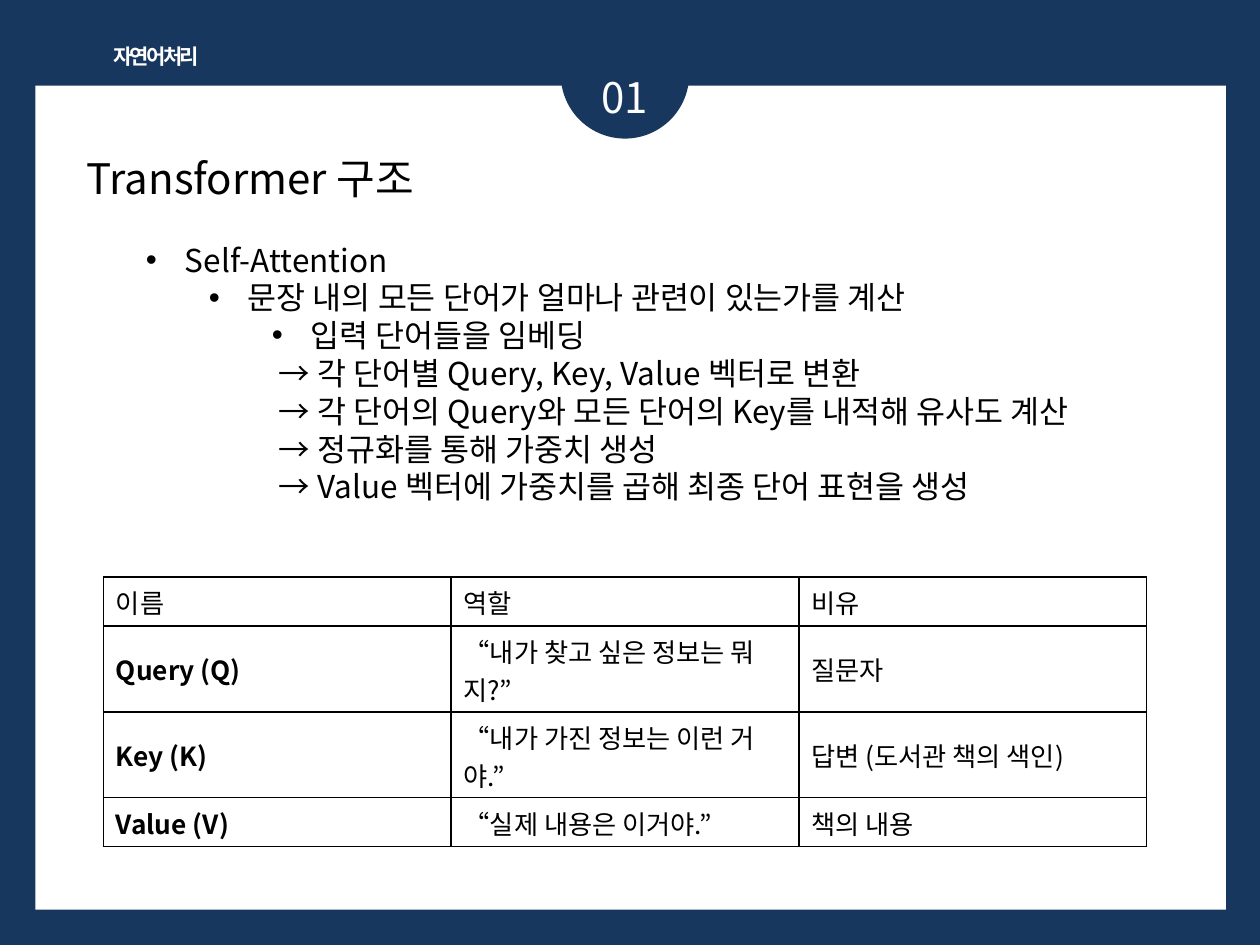
from lxml import etree
from pptx import Presentation
from pptx.dml.color import RGBColor
from pptx.enum import shapes, text
from pptx.oxml.ns import qn
from pptx.util import Inches, Pt

NAVY = RGBColor(0x17, 0x37, 0x5E)
WHITE = RGBColor(0xFF, 0xFF, 0xFF)
BLACK = RGBColor(0, 0, 0)
FONT = "Noto Sans CJK KR"


def write(paragraph, content, size=18, color=BLACK, bold=False, align=None, spacing=None):
    """Add a run, setting its font for Latin and Korean letters alike."""
    paragraph.alignment = align
    run = paragraph.add_run()
    run.text = content
    font = run.font
    font.size, font.bold, font.name = Pt(size), bold, FONT
    font.color.rgb = color
    properties = run._r.get_or_add_rPr()
    etree.SubElement(properties, qn("a:ea"), typeface=FONT)
    if spacing is not None:
        properties.set("spc", str(int(spacing * 100)))


def add_frame(left, top, width, height, wrap=True):
    box = slide.shapes.add_textbox(Inches(left), Inches(top), Inches(width), Inches(height))
    frame = box.text_frame
    frame.word_wrap = wrap
    frame.auto_size = text.MSO_AUTO_SIZE.SHAPE_TO_FIT_TEXT
    return frame


presentation = Presentation()
presentation.slide_width, presentation.slide_height = Inches(10), Inches(7.5)
slide = presentation.slides.add_slide(presentation.slide_layouts[6])
slide.background.fill.solid()
slide.background.fill.fore_color.rgb = NAVY

# White page with the number badge cut into its top edge
for kind, color, left, top, width, height in (
    (shapes.MSO_SHAPE.RECTANGLE, WHITE, 0.28, 0.68, 9.45, 6.54),
    (shapes.MSO_SHAPE.OVAL, NAVY, 4.45, 0.08, 1.02, 1.02),
):
    shape = slide.shapes.add_shape(kind, Inches(left), Inches(top), Inches(width), Inches(height))
    shape.shadow.inherit = False
    shape.fill.solid()
    shape.fill.fore_color.rgb = color
    shape.line.fill.background()

# Headings
CENTER = text.PP_ALIGN.CENTER
write(add_frame(0.77, 0.3, 0.94, 0.3, wrap=False).paragraphs[0], "자연어처리",
      size=12, color=WHITE, bold=True, align=CENTER, spacing=-1.5)
write(add_frame(4.37, 0.52, 1.18, 0.5).paragraphs[0], "01", size=24, color=WHITE, align=CENTER)
write(add_frame(0.59, 1.16, 8.74, 0.5).paragraphs[0], "Transformer 구조", size=24)

# Outline: level, whether bulleted, wording
OUTLINE = [
    (0, True, "Self-Attention"),
    (1, True, "문장 내의 모든 단어가 얼마나 관련이 있는가를 계산"),
    (2, True, "입력 단어들을 임베딩"),
    (2, False, " → 각 단어별 Query, Key, Value 벡터로 변환"),
    (2, False, " → 각 단어의 Query와 모든 단어의 Key를 내적해 유사도 계산"),
    (2, False, " → 정규화를 통해 가중치 생성"),
    (2, False, " → Value 벡터에 가중치를 곱해 최종 단어 표현을 생성"),
]
HANGING = 0.31
frame = add_frame(1.06, 1.86, 8.19, 2.22)
for index, (level, bulleted, content) in enumerate(OUTLINE):
    paragraph = frame.add_paragraph() if index else frame.paragraphs[0]
    paragraph.level = level
    hanging = HANGING if bulleted else 0
    properties = paragraph._p.get_or_add_pPr()
    properties.set("marL", str(Inches(level * 0.5 + hanging)))
    properties.set("indent", str(Inches(-hanging)))
    if bulleted:
        etree.SubElement(properties, qn("a:buFont"), typeface="Arial")
        etree.SubElement(properties, qn("a:buChar"), char="•")
    else:
        etree.SubElement(properties, qn("a:buNone"))
    write(paragraph, content)

# Query, key and value table
ROWS = [
    (0.39, "이름", "역할", "비유"),
    (0.68, "Query (Q)", "“내가 찾고 싶은 정보는 뭐지?”", "질문자"),
    (0.68, "Key (K)", "“내가 가진 정보는 이런 거야.”", "답변 (도서관 책의 색인)"),
    (0.39, "Value (V)", "“실제 내용은 이거야.”", "책의 내용"),
]
table = slide.shapes.add_table(len(ROWS), 3, Inches(0.82), Inches(4.58),
                               Inches(8.28), Inches(2.13)).table
table.first_row = table.horz_banding = False
for column in table.columns:
    column.width = Inches(2.76)
for row_index, (height, *contents) in enumerate(ROWS):
    table.rows[row_index].height = Inches(height)
    for column_index, content in enumerate(contents):
        cell = table.cell(row_index, column_index)
        cell.vertical_anchor = text.MSO_ANCHOR.MIDDLE
        cell.fill.background()
        write(cell.text_frame.paragraphs[0], content, size=15,
              bold=row_index > 0 and column_index == 0)
        properties = cell._tc.get_or_add_tcPr()
        for position, side in enumerate(("lnL", "lnR", "lnT", "lnB")):
            border = etree.Element(qn(f"a:{side}"), w=str(Pt(1)))
            fill = etree.SubElement(border, qn("a:solidFill"))
            etree.SubElement(fill, qn("a:srgbClr"), val=str(BLACK))
            properties.insert(position, border)

presentation.save("out.pptx")
